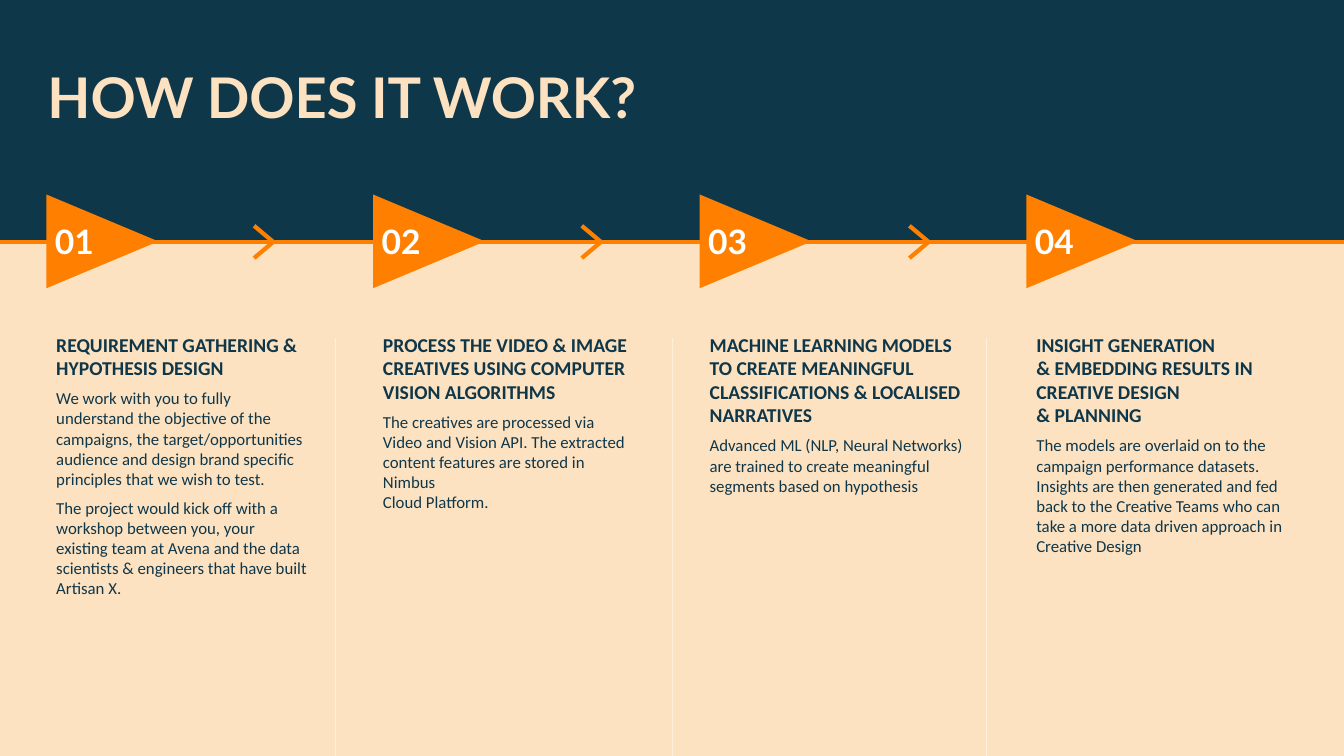
from lxml.etree import SubElement
from pptx import Presentation
from pptx.dml.color import RGBColor
from pptx.enum.shapes import MSO_CONNECTOR, MSO_SHAPE
from pptx.enum.text import MSO_ANCHOR, PP_ALIGN
from pptx.oxml.ns import qn
from pptx.util import Inches, Pt

NAVY, CREAM, ORANGE = "0F374A", "FDE2C1", "FF7F00"
WHITE, PALE = "FFFFFF", "FEEEDA"
WIDTH, HEIGHT = 13.33, 7.5
LINE_Y = 2.4
STEP_PITCH = 3.24
ARROW_PITCH = 3.25

# Text box width, heading, paragraphs
STEPS = [
    (2.7, "REQUIREMENT GATHERING & HYPOTHESIS DESIGN",
     ["We work with you to fully understand the objective of the campaigns, "
      "the target/opportunities audience and design brand specific principles "
      "that we wish to test.",
      "The project would kick off with a workshop between you, your existing "
      "team at Avena and the data scientists & engineers that have built "
      "Artisan X."]),
    (2.7, "PROCESS THE VIDEO & IMAGE CREATIVES USING COMPUTER VISION ALGORITHMS",
     ["The creatives are processed via Video and Vision API. The extracted "
      "content features are stored in Nimbus\vCloud Platform."]),
    (2.84, "MACHINE LEARNING MODELS TO CREATE MEANINGFUL CLASSIFICATIONS "
     "& LOCALISED NARRATIVES",
     ["Advanced ML (NLP, Neural Networks) are trained to create meaningful "
      "segments based on hypothesis"]),
    (2.85, "INSIGHT GENERATION\v& EMBEDDING RESULTS IN CREATIVE DESIGN\v& PLANNING",
     ["The models are overlaid on to the campaign performance datasets. "
      "Insights are then generated and fed back to the Creative Teams who can "
      "take a more data driven approach in Creative Design"]),
]


def rgb(value):
    return RGBColor.from_string(value)


def set_font(p, name, size, color, bold):
    p.font.name = name
    p.font.size = Pt(size)
    p.font.color.rgb = rgb(color)
    p.font.bold = bold


def clear_insets(tf):
    tf.margin_left = tf.margin_right = tf.margin_top = tf.margin_bottom = 0


def add_filled(s, kind, x, y, w, h, color):
    sp = s.shapes.add_shape(kind, Inches(x), Inches(y), Inches(w), Inches(h))
    sp.shadow.inherit = False
    sp.fill.solid()
    sp.fill.fore_color.rgb = rgb(color)
    sp.line.fill.background()
    return sp


def add_line(s, x1, y1, x2, y2, color, width):
    line = s.shapes.add_connector(MSO_CONNECTOR.STRAIGHT, Inches(x1), Inches(y1),
                                  Inches(x2), Inches(y2))
    line.line.color.rgb = rgb(color)
    line.line.width = Pt(width)
    SubElement(line._element.spPr, qn("a:effectLst"))


def add_title(s, text):
    title = s.shapes.title
    title.left, title.top = Inches(0.47), Inches(0.72)
    title.width, title.height = Inches(12.42), Inches(0.83)
    tf = title.text_frame
    clear_insets(tf)
    tf.vertical_anchor = MSO_ANCHOR.TOP
    p = tf.paragraphs[0]
    p.text = text
    p.alignment = PP_ALIGN.LEFT
    p.line_spacing = 0.85
    set_font(p, "Lato", 40, CREAM, True)


def add_marker(s, x, number):
    sp = add_filled(s, MSO_SHAPE.ISOSCELES_TRIANGLE, x, 1.84, 0.93, 1.11, ORANGE)
    sp.rotation = 90
    tf = sp.text_frame
    clear_insets(tf)
    tf.vertical_anchor = MSO_ANCHOR.MIDDLE
    # Turn the number upright inside the rotated triangle
    tf._txBody.bodyPr.set("vert", "vert270")
    p = tf.paragraphs[0]
    p.text = f"{number:02d}"
    p.alignment = PP_ALIGN.CENTER
    set_font(p, "Lato", 24, WHITE, True)


def add_chevron(s, x):
    dx, dy = 0.19, 0.16
    builder = s.shapes.build_freeform(Inches(x), Inches(LINE_Y - dy))
    builder.add_line_segments([(Inches(x + dx), Inches(LINE_Y)),
                               (Inches(x), Inches(LINE_Y + dy))], close=False)
    sp = builder.convert_to_shape()
    sp.shadow.inherit = False
    sp.fill.background()
    sp.line.color.rgb = rgb(ORANGE)
    sp.line.width = Pt(3)


def add_step_text(s, x, width, heading, paragraphs):
    box = s.shapes.add_textbox(Inches(x), Inches(3.25), Inches(width), Inches(2.24))
    tf = box.text_frame
    tf.word_wrap = True
    p = tf.paragraphs[0]
    p.text = heading
    set_font(p, "Calibri", 14, NAVY, True)
    for text in paragraphs:
        p = tf.add_paragraph()
        p.text = text
        p.space_before = Pt(6)
        set_font(p, "Calibri", 12, NAVY, False)


def main():
    prs = Presentation()
    prs.slide_width, prs.slide_height = Inches(WIDTH), Inches(HEIGHT)
    s = prs.slides.add_slide(prs.slide_layouts[5])

    # Background and title
    s.background.fill.solid()
    s.background.fill.fore_color.rgb = rgb(NAVY)
    add_filled(s, MSO_SHAPE.RECTANGLE, 0, LINE_Y, WIDTH, HEIGHT - LINE_Y, CREAM)
    add_title(s, "HOW DOES IT WORK?")

    # Timeline
    add_line(s, 0, LINE_Y, WIDTH, LINE_Y, ORANGE, 3)
    for i in range(len(STEPS)):
        add_marker(s, 0.55 + i * STEP_PITCH, i + 1)
    for i in range(len(STEPS) - 1):
        add_chevron(s, 2.52 + i * ARROW_PITCH)

    # Step descriptions
    for i, (width, heading, paragraphs) in enumerate(STEPS):
        add_step_text(s, 0.46 + i * STEP_PITCH, width, heading, paragraphs)

    # Column dividers
    for x in (3.33, 6.67, 9.78):
        add_line(s, x, 3.35, x, HEIGHT, PALE, 0.75)

    prs.save("out.pptx")


if __name__ == "__main__":
    main()
